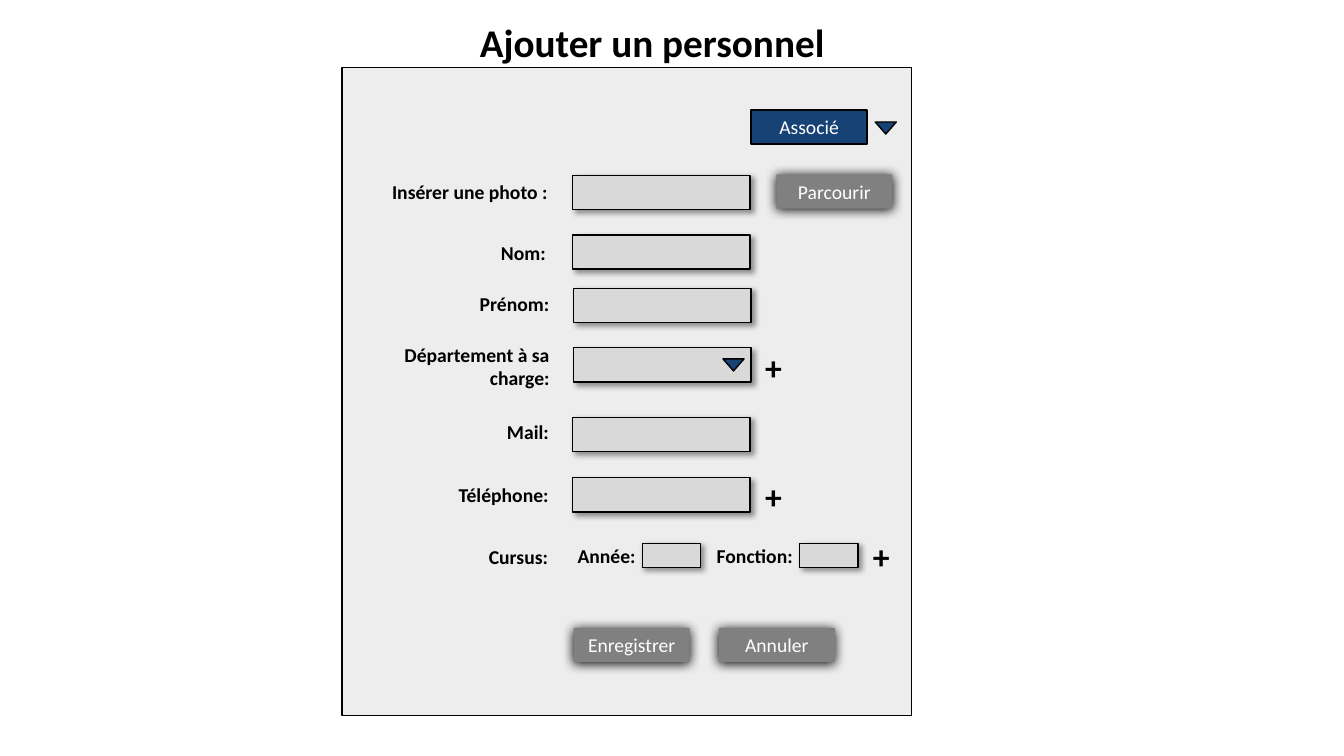
from lxml import etree
from pptx import Presentation
from pptx.dml.color import RGBColor
from pptx.enum.shapes import MSO_SHAPE
from pptx.enum.text import MSO_ANCHOR, MSO_AUTO_SIZE, PP_ALIGN
from pptx.oxml.ns import qn
from pptx.util import Inches, Pt

BLACK, WHITE, NAVY = "000000", "FFFFFF", "174275"
PANEL_GREY, FIELD_GREY, BUTTON_GREY = "EDEDED", "D9D9D9", "808080"

# Shadows: opacity %, blur pt, distance pt, direction in degrees
FIELD_SHADOW = (40, 4, 3, 45)
BUTTON_SHADOW = (100, 8.5, 1, 90)

LABEL_W, LABEL_H = 2.03, 0.34
FIELD_W, FIELD_H = 1.76, 0.34
BUTTON_W, BUTTON_H = 1.15, 0.34

# Label, its left and top, then the left and top of its field
ROWS = [
    ("Insérer une photo :", 3.79, 1.74, 5.68, 1.74),
    ("Nom:", 4.87, 2.34, 5.68, 2.33),
    ("Prénom:", 4.66, 2.85, 5.69, 2.86),
    ("Département à sa charge:", 3.52, 3.35, 5.69, 3.45),
    ("Mail:", 4.93, 4.12, 5.68, 4.14),
    ("Téléphone:", 4.45, 4.74, 5.68, 4.74),
]


def color(hex_value):
    return RGBColor.from_string(hex_value)


def box(*inches):
    return [Inches(value) for value in inches]


def write(frame, text, size, hex_color, bold=False, align=PP_ALIGN.LEFT):
    frame.word_wrap = True
    paragraph = frame.paragraphs[0]
    paragraph.alignment = align
    run = paragraph.add_run()
    run.text = text
    run.font.name = "Calibri"
    run.font.size = Pt(size)
    run.font.bold = bold
    run.font.color.rgb = color(hex_color)


def add_shadow(shape, opacity, blur, distance, direction):
    effects = shape._element.spPr.find(qn("a:effectLst"))
    outer = etree.SubElement(
        effects, qn("a:outerShdw"), blurRad=str(Pt(blur)), dist=str(Pt(distance)),
        dir=str(direction * 60000), algn="ctr", rotWithShape="0")
    shade = etree.SubElement(outer, qn("a:srgbClr"), val=BLACK)
    etree.SubElement(shade, qn("a:alpha"), val=str(opacity * 1000))


def add_block(slide, bounds, fill, outlined=True, shadow=None,
              kind=MSO_SHAPE.RECTANGLE):
    shape = slide.shapes.add_shape(kind, *box(*bounds))
    shape.fill.solid()
    shape.fill.fore_color.rgb = color(fill)
    if outlined:
        shape.line.color.rgb = color(BLACK)
        shape.line.width = Pt(1)
    else:
        shape.line.fill.background()
    shape.shadow.inherit = False
    if shadow:
        add_shadow(shape, *shadow)
    return shape


def add_field(slide, left, top, width=FIELD_W, height=FIELD_H):
    add_block(slide, (left, top, width, height), FIELD_GREY, shadow=FIELD_SHADOW)


def add_button(slide, text, left, top, fill=BUTTON_GREY, outlined=False,
               shadow=BUTTON_SHADOW):
    button = add_block(slide, (left, top, BUTTON_W, BUTTON_H), fill, outlined, shadow)
    button.text_frame.vertical_anchor = MSO_ANCHOR.MIDDLE
    write(button.text_frame, text, 14, WHITE, align=PP_ALIGN.CENTER)


def add_drop_arrow(slide, left, top):
    arrow = add_block(slide, (left, top, 0.21, 0.12), NAVY,
                      kind=MSO_SHAPE.ISOSCELES_TRIANGLE)
    arrow.rotation = 180


def add_label(slide, text, left, top, width=LABEL_W, height=LABEL_H, size=14,
              align=PP_ALIGN.LEFT):
    frame = slide.shapes.add_textbox(*box(left, top, width, height)).text_frame
    write(frame, text, size, BLACK, True, align)
    frame.auto_size = MSO_AUTO_SIZE.SHAPE_TO_FIT_TEXT


def add_plus(slide, left, top):
    add_label(slide, "+", left, top, 0.46, 0.5, 24)


def set_title(slide, text):
    title = slide.shapes.title
    title.left, title.top, title.width, title.height = box(4.66, 0.13, 3.63, 0.57)
    frame = title.text_frame
    write(frame, text, 28, BLACK, True)
    frame.vertical_anchor = MSO_ANCHOR.TOP
    frame.auto_size = MSO_AUTO_SIZE.SHAPE_TO_FIT_TEXT


def main():
    prs = Presentation()
    prs.slide_width, prs.slide_height = box(13.33, 7.5)
    slide = prs.slides.add_slide(prs.slide_layouts[5])

    # Title and form panel
    set_title(slide, "Ajouter un personnel")
    add_block(slide, (3.39, 0.67, 5.65, 6.43), PANEL_GREY)

    # Staff type selector
    add_button(slide, "Associé", 7.45, 1.09, NAVY, outlined=True, shadow=None)
    add_drop_arrow(slide, 8.68, 1.21)

    # Labelled fields; the two-line label is aligned right
    for text, left, top, field_left, field_top in ROWS:
        two_lines = text.startswith("Département")
        add_label(slide, text, left, top,
                  height=0.57 if two_lines else LABEL_H,
                  align=PP_ALIGN.RIGHT if two_lines else PP_ALIGN.LEFT)
        add_field(slide, field_left, field_top)
    add_drop_arrow(slide, 7.17, 3.56)

    # Career row
    add_label(slide, "Cursus:", 4.75, 5.36)
    for text, left, field_left in (("Année:", 5.63, 6.37), ("Fonction:", 7.01, 7.93)):
        add_label(slide, text, left, 5.35)
        add_field(slide, field_left, 5.39, 0.58, 0.24)

    # Signs that add an entry
    for left, top in ((7.49, 3.39), (7.49, 4.67), (8.56, 5.27)):
        add_plus(slide, left, top)

    # Action buttons
    for text, left, top in (("Parcourir", 7.7, 1.73), ("Enregistrer", 5.69, 6.23),
                            ("Annuler", 7.13, 6.23)):
        add_button(slide, text, left, top)

    prs.save("out.pptx")


main()
